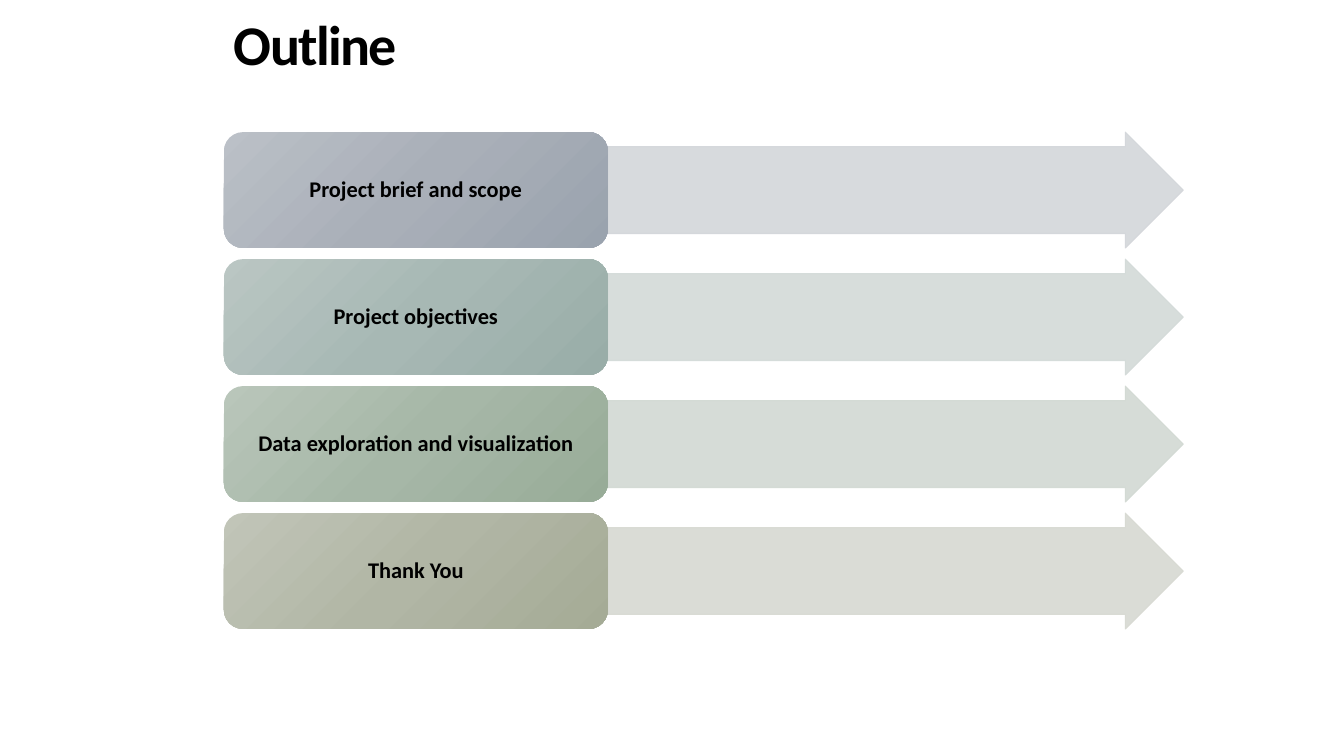
from copy import deepcopy
from dataclasses import dataclass

from lxml import etree
from pptx import Presentation
from pptx.dml.color import RGBColor
from pptx.enum.shapes import MSO_SHAPE
from pptx.enum.text import MSO_ANCHOR, MSO_AUTO_SIZE, PP_ALIGN
from pptx.oxml.ns import qn
from pptx.util import Cm, Pt

ROUNDED = MSO_SHAPE.ROUNDED_RECTANGLE
RIGHT_ARROW = MSO_SHAPE.RIGHT_ARROW
MIDDLE = MSO_ANCHOR.MIDDLE
NO_AUTOFIT = MSO_AUTO_SIZE.NONE
LEFT = PP_ALIGN.LEFT
CENTER = PP_ALIGN.CENTER
TITLE_ONLY = 5


@dataclass(frozen=True)
class Theme:
    font: str = "Calibri"
    text: str = "000000"
    background: str = "FFFFFF"
    title_size: int = 40
    title_tracking: float = -1.2
    topic_size: int = 16
    arrow_opacity: int = 90
    arrow_line: float = 0.75


@dataclass(frozen=True)
class Topic:
    label: str
    gradient: tuple[str, str, str]
    arrow: str


THEME = Theme()
TOPICS = (
    Topic("Project brief and scope", ("BBC0C7", "A9AFB8", "9AA3AE"), "D3D6DA"),
    Topic("Project objectives", ("BAC6C3", "A7B8B4", "99ADA8"), "D3DAD8"),
    Topic("Data exploration and visualization", ("B9C6BA", "A6B7A7", "98AC98"), "D2D9D3"),
    Topic("Thank You", ("C1C5B8", "B1B6A5", "A5AB96"), "D7D9D2"),
)

LABEL_LEFT, LABEL_WIDTH = 5.64, 9.68
ARROW_WIDTH = 14.5
FIRST_TOP, ROW_HEIGHT, ROW_PITCH = 3.33, 2.92, 3.2


def add_text(frame, text: str, size: int, align, line_spacing: float):
    frame.word_wrap = True
    frame.auto_size = NO_AUTOFIT
    frame.vertical_anchor = MIDDLE
    paragraph = frame.paragraphs[0]
    paragraph.alignment = align
    paragraph.line_spacing = line_spacing
    run = paragraph.add_run()
    run.text = text
    run.font.name = THEME.font
    run.font.size = Pt(size)
    run.font.bold = True
    run.font.color.rgb = RGBColor.from_string(THEME.text)
    return run


def add_title(slide, text: str) -> None:
    title = slide.shapes.title
    title.left, title.top = Cm(LABEL_LEFT), Cm(0.23)
    title.width, title.height = Cm(22.53), Cm(1.96)
    title.fill.solid()
    title.fill.fore_color.rgb = RGBColor.from_string(THEME.background)
    run = add_text(title.text_frame, text, THEME.title_size, LEFT, 0.85)
    run.font._element.set("spc", str(round(THEME.title_tracking * 100)))


def fill_gradient(shape, colors: tuple[str, ...]) -> None:
    shape.fill.gradient()
    shape.fill.gradient_angle = 315
    stop_list = shape._element.spPr.find(".//" + qn("a:gsLst"))
    stop_list.insert(1, deepcopy(stop_list[0]))
    for index, (stop, color) in enumerate(zip(shape.fill.gradient_stops, colors)):
        stop.position = index / (len(colors) - 1)
        stop.color.rgb = RGBColor.from_string(color)


def add_arrow(slide, topic: Topic, top: float) -> None:
    arrow = slide.shapes.add_shape(
        RIGHT_ARROW, Cm(LABEL_LEFT + LABEL_WIDTH), Cm(top), Cm(ARROW_WIDTH), Cm(ROW_HEIGHT)
    )
    arrow.shadow.inherit = False
    arrow.adjustments[0] = 0.75
    arrow.adjustments[1] = 0.5
    arrow.line.width = Pt(THEME.arrow_line)
    for fill in (arrow.fill, arrow.line.fill):
        fill.solid()
        fill.fore_color.rgb = RGBColor.from_string(topic.arrow)
    for color in arrow._element.spPr.iter(qn("a:srgbClr")):
        etree.SubElement(color, qn("a:alpha"), val=str(THEME.arrow_opacity * 1000))


def add_label(slide, topic: Topic, top: float) -> None:
    label = slide.shapes.add_shape(
        ROUNDED, Cm(LABEL_LEFT), Cm(top), Cm(LABEL_WIDTH), Cm(ROW_HEIGHT)
    )
    label.shadow.inherit = False
    label.line.fill.background()
    fill_gradient(label, topic.gradient)
    frame = label.text_frame
    frame.margin_left = frame.margin_right = Cm(0.18)
    frame.margin_top = frame.margin_bottom = Cm(0.08)
    add_text(frame, topic.label, THEME.topic_size, CENTER, 0.9)


def main() -> None:
    deck = Presentation()
    deck.slide_width, deck.slide_height = Cm(33.87), Cm(19.05)
    slide = deck.slides.add_slide(deck.slide_layouts[TITLE_ONLY])
    add_title(slide, "Outline")
    for row, topic in enumerate(TOPICS):
        top = FIRST_TOP + row * ROW_PITCH
        add_arrow(slide, topic, top)
        add_label(slide, topic, top)
    deck.save("out.pptx")


if __name__ == "__main__":
    main()
